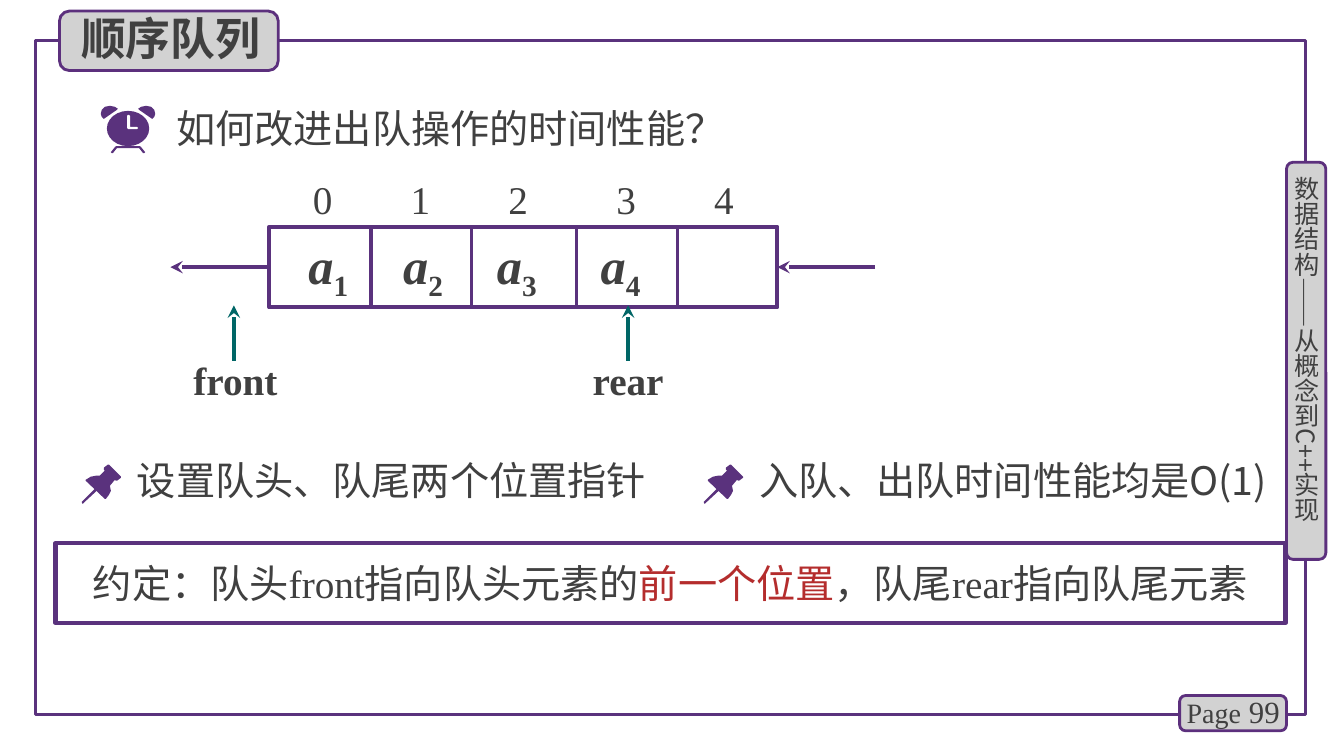
import dataclasses

import lxml.etree
import pptx
import pptx.dml.color
import pptx.enum.shapes
import pptx.enum.text
import pptx.oxml.ns
import pptx.util

Inches = pptx.util.Inches
Shape = pptx.enum.shapes.MSO_SHAPE
Align = pptx.enum.text.PP_ALIGN
Anchor = pptx.enum.text.MSO_ANCHOR
qn = pptx.oxml.ns.qn


@dataclasses.dataclass(frozen=True)
class Theme:
    """Colours, fonts, type sizes and line widths of the slide."""

    purple: str = "5A327D"
    badge_line: str = "5C307D"
    grey: str = "D2D2D2"
    ink: str = "404040"
    teal: str = "006666"
    red: str = "B42D2D"
    white: str = "FFFFFF"
    hans: str = "Noto Sans CJK SC"
    serif: str = "Times New Roman"
    title: int = 32
    item: int = 36
    body: int = 28
    number: int = 22
    page: int = 20
    side: int = 18
    thin: float = 2
    medium: float = 2.25
    thick: float = 3


THEME = Theme()

EAR = [(1.03, 1.18), (1.01, 1.16), (1, 1.13), (1.01, 1.09), (1.04, 1.06),
       (1.09, 1.05), (1.14, 1.06), (1.17, 1.08), (1.16, 1.09)]
FEET = [(1.1, 1.51), (1.14, 1.46), (1.15, 1.45), (1.39, 1.45), (1.4, 1.46),
        (1.44, 1.51), (1.43, 1.52), (1.42, 1.52), (1.38, 1.47), (1.16, 1.47),
        (1.12, 1.52), (1.11, 1.52)]
HANDS = [(1.26, 1.15), (1.27, 1.14), (1.28, 1.14), (1.29, 1.15), (1.29, 1.26),
         (1.36, 1.26), (1.37, 1.27), (1.36, 1.28), (1.27, 1.28), (1.26, 1.27)]
PIN_HEAD = [(1.2, 4.73), (1.08, 4.61), (1.07, 4.61), (1.03, 4.64), (1.03, 4.66),
            (1.04, 4.67), (0.99, 4.72), (0.95, 4.72), (0.9, 4.73), (0.85, 4.76),
            (0.85, 4.77), (1.04, 4.95), (1.05, 4.95), (1.08, 4.91), (1.1, 4.87),
            (1.09, 4.82), (1.14, 4.76), (1.15, 4.77), (1.16, 4.77), (1.2, 4.74)]
PIN_NEEDLE = [(0.82, 5), (0.81, 4.98), (0.94, 4.85), (0.96, 4.84), (0.97, 4.86),
              (0.83, 4.99)]


def rgb(colour):
    """Turn a hex string into a colour value."""
    return pptx.dml.color.RGBColor.from_string(colour)


def set_all(target, values):
    """Set each named attribute of the target."""
    for name, value in values.items():
        setattr(target, name, value)


def paint(shape, fill=None, line=None, width=0):
    """Give a shape its fill and outline without a shadow."""
    shape.shadow.inherit = False
    if fill:
        shape.fill.solid()
        shape.fill.fore_color.rgb = rgb(fill)
    else:
        shape.fill.background()
    if line:
        shape.line.color.rgb = rgb(line)
        shape.line.width = pptx.util.Pt(width)
    else:
        shape.line.fill.background()


def write(shape, runs, size, font, align=Align.LEFT, **frame_values):
    """Write runs of (text, format values) into a shape."""
    frame = shape.text_frame
    set_all(frame, {"word_wrap": True, "vertical_anchor": Anchor.MIDDLE,
                    "auto_size": pptx.enum.text.MSO_AUTO_SIZE.NONE, **frame_values})
    para = frame.paragraphs[0]
    para.alignment = align
    for text, values in runs:
        look = {"size": pptx.util.Pt(size), "name": font, "bold": False, **values}
        colour = look.pop("colour", THEME.ink)
        baseline = look.pop("baseline", None)
        span = para.add_run()
        span.text = text
        set_all(span.font, look)
        span.font.color.rgb = rgb(colour)
        props = span._r.get_or_add_rPr()
        lxml.etree.SubElement(props, qn("a:ea")).set("typeface", THEME.hans)
        if baseline:
            props.set("baseline", baseline)


def add_box(page, place, kind=Shape.RECTANGLE, **look):
    """Add a painted preset shape at left, top, width, height."""
    box = page.shapes.add_shape(kind, *map(Inches, place))
    paint(box, **look)
    return box


def add_badge(page, place):
    """Add a grey rounded label shape."""
    return add_box(page, place, Shape.ROUNDED_RECTANGLE, fill=THEME.grey,
                   line=THEME.badge_line, width=THEME.thin)


def add_text(page, place, runs, size=THEME.body, font=THEME.hans, **options):
    """Add a text box."""
    box = page.shapes.add_textbox(*map(Inches, place))
    write(box, runs, size, font, **options)
    return box


def add_line(page, start, end, colour, width, arrow=False):
    """Add a straight connector, with a stealth head if asked."""
    line = page.shapes.add_connector(pptx.enum.shapes.MSO_CONNECTOR.STRAIGHT,
                                     *map(Inches, start + end))
    line.line.color.rgb = rgb(colour)
    line.line.width = pptx.util.Pt(width)
    if arrow:
        tail = lxml.etree.SubElement(line.line._get_or_add_ln(), qn("a:tailEnd"))
        tail.set("type", "stealth")
    lxml.etree.SubElement(line.element.spPr, qn("a:effectLst"))
    return line


def add_outline(group, points, colour=THEME.purple):
    """Add a filled polygon to an icon group."""
    corners = [(Inches(x), Inches(y)) for x, y in points]
    builder = group.shapes.build_freeform(*corners[0])
    builder.add_line_segments(corners[1:], close=True)
    paint(builder.convert_to_shape(), fill=colour)


def add_clock(page):
    """Draw the alarm clock icon."""
    clock = page.shapes.add_group_shape()
    add_outline(clock, FEET)
    add_outline(clock, EAR)
    add_outline(clock, [(2.54 - x, y) for x, y in EAR])
    face = clock.shapes.add_shape(Shape.OVAL, *map(Inches, (1.06, 1.1, 0.42, 0.35)))
    paint(face, fill=THEME.purple)
    add_outline(clock, HANDS, THEME.white)


def add_pin(page, shift):
    """Draw a push pin icon moved right by the shift."""
    pin = page.shapes.add_group_shape()
    for points in (PIN_HEAD, PIN_NEEDLE):
        add_outline(pin, [(x + shift, y) for x, y in points])


def add_pointer(page, x, label, left):
    """Draw an upward pointer with its name."""
    add_line(page, (x, 3.58), (x, 3.03), THEME.teal, THEME.thick, arrow=True)
    add_text(page, (left, 3.48, 1.13, 0.57), [(label, {"bold": True})], font=THEME.serif)


def add_queue(page):
    """Draw the array with its indices, items and arrows."""
    queue = add_box(page, (2.67, 2.25, 5.04, 0.8), line=THEME.purple, width=THEME.thick)
    for x in (3.68, 4.68, 5.72, 6.72):
        add_line(page, (x, 2.25), (x, 3.05), THEME.purple, THEME.medium)
    leave = add_line(page, (2.67, 2.65), (1.69, 2.65), THEME.purple, THEME.thick, arrow=True)
    leave.begin_connect(queue, 1)
    enter = add_line(page, (8.68, 2.65), (7.71, 2.65), THEME.purple, THEME.thick, arrow=True)
    enter.end_connect(queue, 3)
    for index, x in enumerate((3.2, 4.17, 5.14, 6.21, 7.18)):
        add_text(page, (x - 0.3, 1.69, 0.6, 0.57), [(str(index), {})],
                 font=THEME.serif, align=Align.CENTER)
    for number, x in enumerate((2.96, 3.9, 4.83, 5.86), 1):
        runs = [("a", {"bold": True, "italic": True}),
                (str(number), {"bold": True, "baseline": "-25000"})]
        add_text(page, (x, 2.31, 0.7, 0.7), runs, THEME.item, THEME.serif)
    add_pointer(page, 2.32, "front", 1.82)
    add_pointer(page, 6.23, "rear", 5.78)


def add_frame(page):
    """Draw the border, page number and side label."""
    add_box(page, (0.35, 0.4, 12.6, 6.69), line=THEME.purple, width=THEME.medium)
    add_badge(page, (11.7, 6.9, 1.06, 0.35))
    add_text(page, (12.2, 6.86, 0.59, 0.4), [("99", {})], THEME.number, THEME.serif,
             align=Align.RIGHT)
    add_text(page, (11.67, 6.85, 0.78, 0.44), [("Page", {})], THEME.page, THEME.serif)
    add_badge(page, (12.76, 1.61, 0.39, 3.94))
    margins = dict.fromkeys(("margin_left", "margin_top", "margin_right", "margin_bottom"), 0)
    side = add_text(page, (12.81, 1.75, 0.3, 3.78), [("数据结构——从概念到C++实现", {})],
                    THEME.side, **margins)
    side.text_frame._txBody.bodyPr.set("vert", "eaVert")


def add_title(page):
    """Place the title over its badge."""
    add_badge(page, (0.59, 0.11, 2.17, 0.59))
    title = page.shapes.title
    place = map(Inches, (0.66, 0.05, 2.07, 0.64))
    set_all(title, dict(zip(("left", "top", "width", "height"), place)))
    write(title, [("顺序队列", {"bold": True})], THEME.title, THEME.hans, Align.CENTER)
    title.element.getparent().append(title.element)


def main():
    """Build and save the slide."""
    deck = pptx.Presentation()
    set_all(deck, {"slide_width": Inches(13.33), "slide_height": Inches(7.5)})
    page = deck.slides.add_slide(deck.slide_layouts[5])
    add_frame(page)
    add_clock(page)
    add_text(page, (1.65, 0.98, 6.01, 0.57), [("如何改进出队操作的时间性能？", {})])
    add_queue(page)
    for shift, left, text in ((0, 1.26, "设置队头、队尾两个位置指针"),
                              (6.17, 7.43, "入队、出队时间性能均是O(1)")):
        add_pin(page, shift)
        add_text(page, (left, 4.48, 5.56, 0.57), [(text, {})])
    rule = add_box(page, (0.55, 5.39, 12.2, 0.79), line=THEME.purple, width=THEME.thick)
    write(rule, [("约定：队头front指向队头元素的", {}), ("前一个位置", {"colour": THEME.red}),
                 ("，队尾rear指向队尾元素", {})], THEME.body, THEME.serif, Align.CENTER)
    add_title(page)
    deck.save("out.pptx")


if __name__ == "__main__":
    main()
